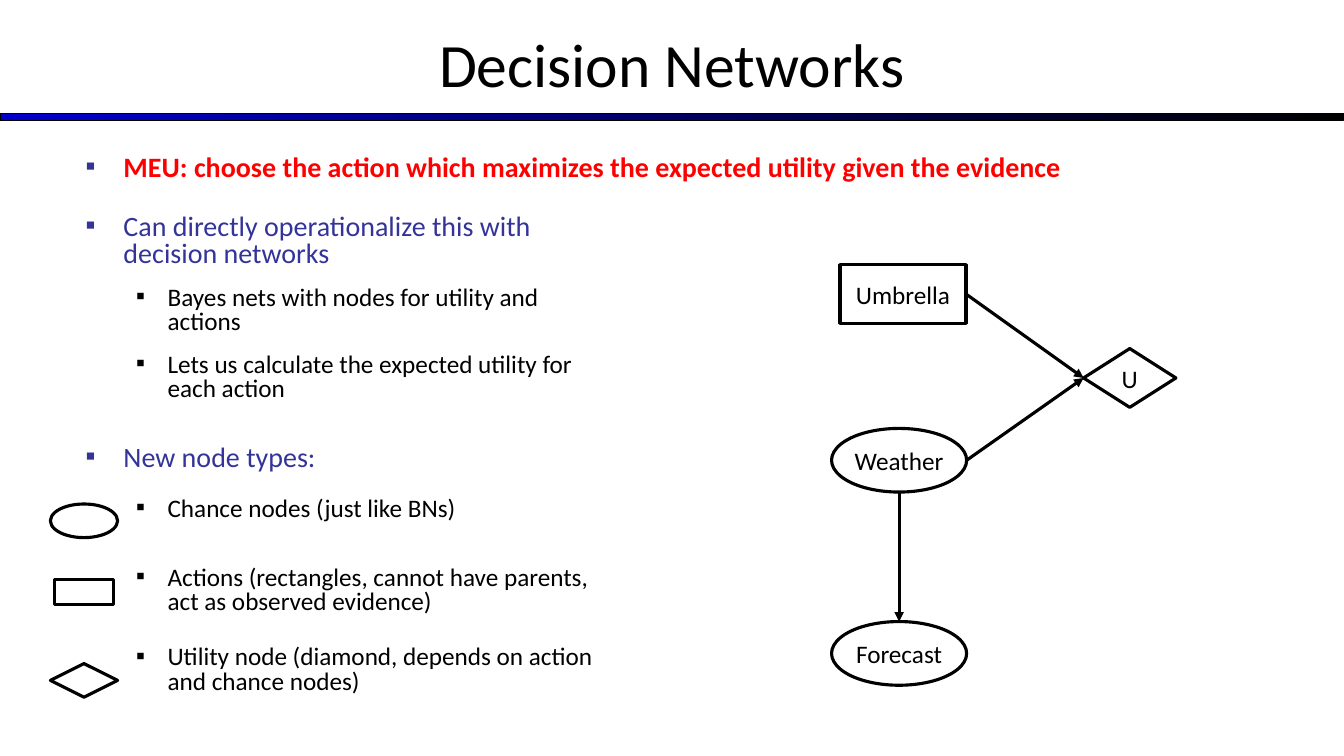
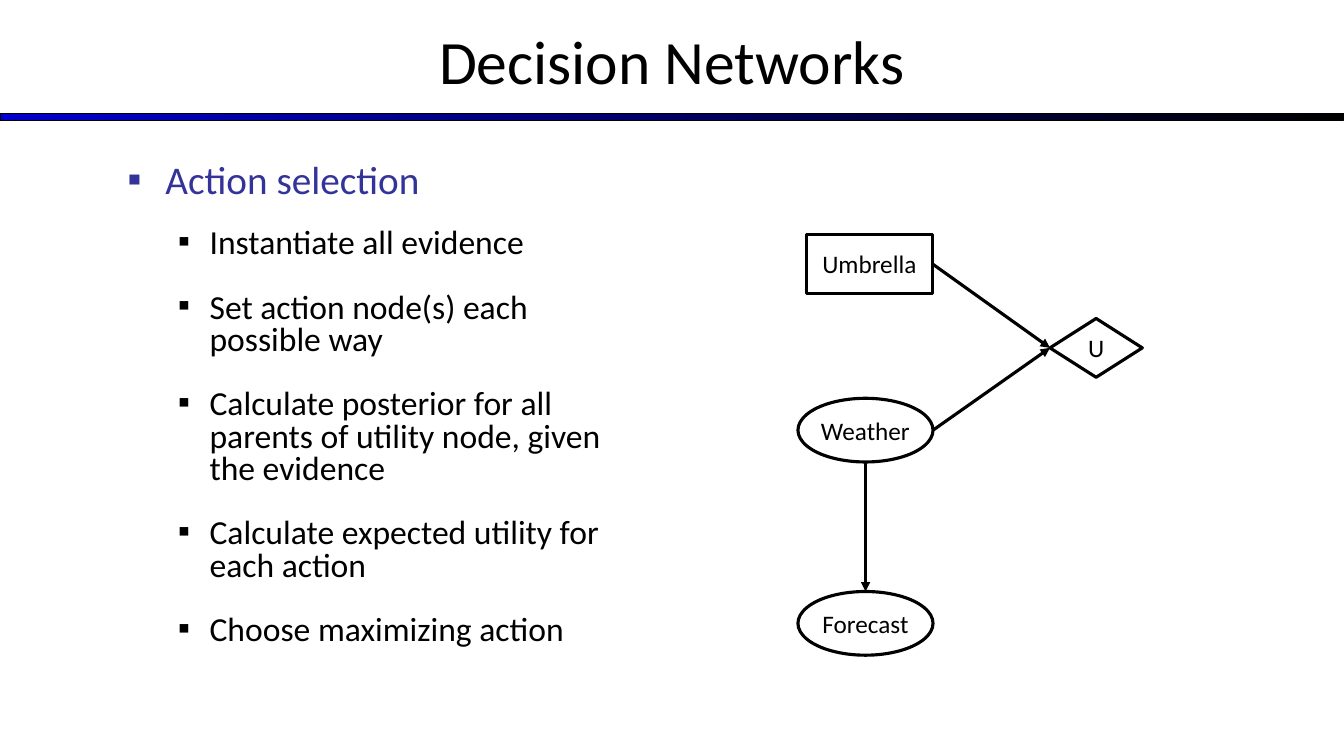
from dataclasses import dataclass

from lxml import etree
from pptx import Presentation
from pptx.dml.color import RGBColor
from pptx.enum.shapes import MSO_CONNECTOR, MSO_SHAPE
from pptx.enum.text import MSO_ANCHOR, MSO_AUTO_SIZE, PP_ALIGN
from pptx.oxml.ns import qn
from pptx.util import Pt

RECT, OVAL, DIAMOND = MSO_SHAPE.RECTANGLE, MSO_SHAPE.OVAL, MSO_SHAPE.DIAMOND
STRAIGHT = MSO_CONNECTOR.STRAIGHT
CENTER, LEFT = PP_ALIGN.CENTER, PP_ALIGN.LEFT
MIDDLE, TOP = MSO_ANCHOR.MIDDLE, MSO_ANCHOR.TOP
NO_FIT = MSO_AUTO_SIZE.NONE


@dataclass(frozen=True)
class Theme:
    font: str = "Calibri"
    ink: str = "000000"
    paper: str = "FFFFFF"
    topic: str = "333399"
    alert: str = "FF0000"
    band: str = "0000CC"
    title_size: float = 44
    node_size: float = 18
    outline: float = 2.25
    bullet: str = "▪"
    indents: tuple = ((27, -27), (58.5, -22.5))


THEME = Theme()


def write(frame, text, size=THEME.node_size, color=THEME.ink, bold=False,
          align=LEFT, level=None, before=0, bullet_color=None):
    """Add one paragraph; a level makes it a bullet of the list."""
    first = frame.paragraphs[0]
    paragraph = frame.add_paragraph() if first.runs else first
    paragraph.alignment = align
    if level is not None:
        paragraph.level = level
        paragraph.line_spacing = 0.8
        paragraph.space_before = Pt(before)
        properties = paragraph._p.get_or_add_pPr()
        margin, indent = THEME.indents[level]
        properties.set("marL", str(Pt(margin)))
        properties.set("indent", str(Pt(indent)))
        tint = etree.SubElement(properties, qn("a:buClr"))
        etree.SubElement(tint, qn("a:srgbClr"), val=bullet_color or color)
        etree.SubElement(properties, qn("a:buFont"), typeface=THEME.font)
        etree.SubElement(properties, qn("a:buChar"), char=THEME.bullet)
    run = paragraph.add_run()
    run.text = text
    run.font.name = THEME.font
    run.font.size = Pt(size)
    run.font.bold = bold
    run.font.color.rgb = RGBColor.from_string(color)


def add_node(slide, kind, left, top, width, height, label=None):
    """Add an outlined network node, with a centred label if given."""
    node = slide.shapes.add_shape(kind, Pt(left), Pt(top), Pt(width), Pt(height))
    node.shadow.inherit = False
    node.fill.solid()
    node.fill.fore_color.rgb = RGBColor.from_string(THEME.paper)
    node.line.color.rgb = RGBColor.from_string(THEME.ink)
    node.line.width = Pt(THEME.outline)
    if label:
        node.text_frame.word_wrap = False
        node.text_frame.vertical_anchor = MIDDLE
        write(node.text_frame, label, align=CENTER)
    return node


# Content: each list is its box, its sizes per level, and its items
# as (level, space before, text)
TITLE = "Decision Networks"
MEU_RULE = ((54, 108, 744, 374), (20, 18), [
    (0, 0, "MEU: choose the action which maximizes the expected utility given the evidence"),
])
NODE_TYPES = ((54, 150, 378, 344), (20, 18), [
    (0, 0, "Can directly operationalize this with decision networks"),
    (1, 13, "Bayes nets with nodes for utility and actions"),
    (1, 13, "Lets us calculate the expected utility for each action"),
    (0, 31.5, "New node types:"),
    (1, 18, "Chance nodes (just like BNs)"),
    (1, 32, "Actions (rectangles, cannot have parents, act as observed evidence)"),
    (1, 22, "Utility node (diamond, depends on action and chance nodes)"),
])
ACTION_SELECTION = ((84, 114, 378, 387), (28, 24), [
    (0, 0, "Action selection"),
    (1, 19, "Instantiate all evidence"),
    (1, 23, "Set action node(s) each possible way"),
    (1, 23, "Calculate posterior for all parents of utility node, given the evidence"),
    (1, 23, "Calculate expected utility for each action"),
    (1, 23, "Choose maximizing action"),
])
LEGEND = [(OVAL, 372, 48, 24), (RECT, 423, 42, 18), (DIAMOND, 486, 48, 24)]
LEGEND_CENTER = 60

# Node places relative to the top left corner of the network
NETWORK = {
    "Umbrella": (RECT, 6, 0, 90, 42),
    "U": (DIAMOND, 180, 60, 66, 42),
    "Weather": (OVAL, 0, 117, 96.5, 45.5),
    "Forecast": (OVAL, 0, 255, 96.5, 45.5),
}

# Layout index, title top, lists, network corner, legend
SLIDES = [
    (3, 0, [MEU_RULE, NODE_TYPES], (594, 189), LEGEND),
    (1, -2, [ACTION_SELECTION], (570, 167.5), []),
]

prs = Presentation()
prs.slide_width, prs.slide_height = Pt(960), Pt(540)

for layout_index, title_top, lists, (net_left, net_top), legend in SLIDES:
    slide = prs.slides.add_slide(prs.slide_layouts[layout_index])

    # Title
    title = slide.shapes.title
    title.left, title.top, title.width, title.height = (
        Pt(0), Pt(title_top), Pt(960), Pt(90))
    title.text_frame.vertical_anchor = MIDDLE
    write(title.text_frame, TITLE, size=THEME.title_size, align=CENTER)

    # Lists
    for place, (box, sizes, items) in enumerate(lists, start=1):
        body = slide.placeholders[place]
        body.left, body.top, body.width, body.height = map(Pt, box)
        body.text_frame.auto_size = NO_FIT
        body.text_frame.vertical_anchor = TOP
        for level, before, text in items:
            alert = text.startswith("MEU")
            color = THEME.alert if alert else (THEME.topic, THEME.ink)[level]
            write(body.text_frame, text, size=sizes[level], color=color,
                  bold=alert, level=level, before=before,
                  bullet_color=(THEME.topic, THEME.ink)[level])

    # Legend of node types
    for kind, middle, width, height in legend:
        add_node(slide, kind, LEGEND_CENTER - width / 2, middle - height / 2,
                 width, height)

    # Network nodes
    nodes = {
        label: add_node(slide, kind, net_left + x, net_top + y, width, height, label)
        for label, (kind, x, y, width, height) in NETWORK.items()
    }

    # Arrows: two into the utility node, one down to the forecast
    utility, weather, forecast = nodes["U"], nodes["Weather"], nodes["Forecast"]
    utility_entry = (utility.left, utility.top + utility.height // 2)
    weather_center = weather.left + weather.width // 2
    arrows = [
        ((parent.left + parent.width, parent.top + parent.height // 2), utility_entry)
        for parent in (nodes["Umbrella"], weather)
    ]
    arrows.append(((weather_center, weather.top + weather.height),
                   (weather_center, forecast.top)))
    for start, end in arrows:
        arrow = slide.shapes.add_connector(STRAIGHT, *start, *end)
        arrow.line.color.rgb = RGBColor.from_string(THEME.ink)
        arrow.line.width = Pt(THEME.outline)
        etree.SubElement(arrow.line._get_or_add_ln(), qn("a:tailEnd"), type="triangle")
        etree.SubElement(arrow._element.spPr, qn("a:effectLst"))

# Gradient band, moved to the master so that every slide shows it
band = prs.slides[0].shapes.add_shape(RECT, Pt(0), Pt(81), Pt(960), Pt(5))
band.shadow.inherit = False
band.fill.gradient()
band.fill.gradient_angle = 0
for stop, color in zip(band.fill.gradient_stops, (THEME.band, THEME.ink)):
    stop.color.rgb = RGBColor.from_string(color)
band.line.color.rgb = RGBColor.from_string(THEME.ink)
band.line.width = Pt(0.75)
prs.slide_master.shapes.element.insert(2, band.element)

prs.save("out.pptx")
